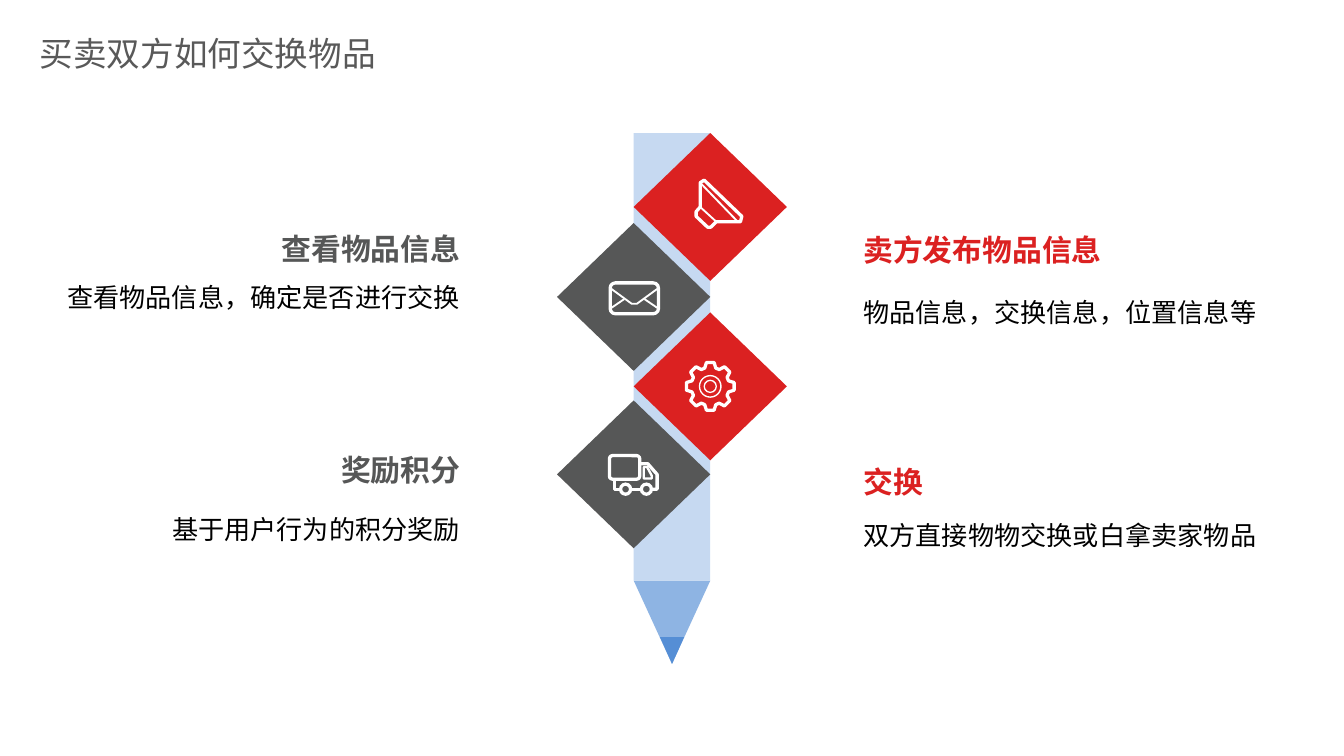
import math
import pptx
import pptx.util
import pptx.dml.color
import pptx.enum.shapes
import pptx.enum.text
import lxml.etree

deck = pptx.Presentation()
deck.slide_width = pptx.util.Inches(10)
deck.slide_height = deck.slide_width * 9 // 16
slide = deck.slides.add_slide(deck.slide_layouts[5])
unit = deck.slide_width / 100  # every length is a share of the slide's width
hue = pptx.dml.color.RGBColor.from_string
kinds = pptx.enum.shapes.MSO_SHAPE
anchors = pptx.enum.text.MSO_ANCHOR
aligns = pptx.enum.text.PP_ALIGN
face = "Noto Sans CJK SC"
red, grey, white = "DB2121", "565757", "FFFFFF"


def scale(spot):
    return [round(share * unit) for share in spot]


def write(box, words, size, color, bold, align, anchor, wrap, pad=0):
    frame = box.text_frame
    frame.auto_size = pptx.enum.text.MSO_AUTO_SIZE.NONE
    frame.word_wrap = wrap
    frame.vertical_anchor = anchor
    frame.margin_left = frame.margin_right = 0
    frame.margin_top = frame.margin_bottom = round(pad * unit)
    para = frame.paragraphs[0]
    para.alignment = align
    run = para.add_run()
    run.text = words
    run.font.size = pptx.util.Pt(size)
    run.font.bold = bold
    run.font.color.rgb = hue(color)
    run.font.name = face
    props = run._r.get_or_add_rPr()
    lxml.etree.SubElement(props, pptx.oxml.ns.qn("a:ea")).set("typeface", face)
    return para


# Title
title = slide.shapes.title
title.left, title.top, title.width, title.height = scale((2.95, 1.85, 29.1, 4.2))
write(title, "买卖双方如何交换物品", 18, "595959", False,
      aligns.LEFT, anchors.MIDDLE, True, 0.5)

# Pencil, diamonds and the round parts of the icons: kind, fill, place, turn, adjustment
left, col, tall = 47.15, 5.7, 11
parts = [
    (kinds.RECTANGLE, "C6D9F1", (left, 9.9, col, 33.3), 0, None),
    (kinds.ISOSCELES_TRIANGLE, "8EB4E3", (left, 43.2, col, 6.2), 180, None),
    (kinds.ISOSCELES_TRIANGLE, "558ED5", (49.1, 47.4, 1.8, 2), 180, None),
]
for step, top in enumerate((9.9, 16.6, 23.25, 29.8)):
    odd = step % 2
    parts.append((kinds.DIAMOND, grey if odd else red,
                  (left - odd * col, top, 2 * col, tall), 0, None))
parts += [
    (kinds.DONUT, white, (52, 27.9, 1.7, 1.7), 0, 0.06),
    (kinds.DONUT, white, (52.35, 28.25, 1, 1), 0, 0.1),
    (kinds.DONUT, white, (46.05, 35.9, 1, 1), 0, 0.25),
    (kinds.DONUT, white, (47.6, 35.9, 1, 1), 0, 0.25),
    (kinds.ROUNDED_RECTANGLE, None, (45.4, 21.05, 3.6, 2.3), 0, 0.17),
    (kinds.ROUNDED_RECTANGLE, None, (45.35, 33.9, 2.25, 1.75), 0, 0.13),
]
for kind, fill, spot, turn, adjust in parts:
    shape = slide.shapes.add_shape(kind, *scale(spot))
    shape.shadow.inherit = False
    shape.rotation = turn
    if adjust:
        shape.adjustments[0] = adjust
    if fill:
        shape.fill.solid()
        shape.fill.fore_color.rgb = hue(fill)
        shape.line.fill.background()
    else:
        shape.fill.background()
        shape.line.color.rgb = hue(white)
        shape.line.width = pptx.util.Pt(1.75)

# Gear rim: eight teeth, four corners each
rim = []
for tooth in range(8):
    for turn, reach in ((-17, 1.42), (-9, 1.8), (9, 1.8), (17, 1.42)):
        angle = math.radians(tooth * 45 + turn)
        rim.append((52.85 + reach * math.cos(angle), 28.75 + reach * math.sin(angle)))

# Icon strokes: width, closed, points
strokes = [
    (1.75, True, rim),
    # Speaker
    (1.75, True, [(52.1, 15.4), (52.1, 13.6), (52.4, 13.4), (55.2, 16.1), (55.1, 16.5),
                  (53.3, 16.5), (52.9, 16.9), (52.65, 16.9), (51.8, 16.1), (51.8, 15.75)]),
    (1, False, [(52.2, 13.7), (54.9, 16.5)]),
    (1, False, [(52.1, 15.4), (53.3, 16.5)]),
    # Envelope
    (1, False, [(45.5, 21.5), (47, 22.6), (47.4, 22.6), (48.9, 21.5)]),
    (1, False, [(45.5, 22.9), (46.45, 22.25)]),
    (1, False, [(48.9, 22.9), (47.95, 22.25)]),
    # Truck
    (1.75, False, [(47.6, 34.5), (48.2, 34.5), (48.9, 35.3), (48.9, 36.4), (48.5, 36.4)]),
    (1.75, False, [(45.7, 35.7), (45.7, 36.4), (46.1, 36.4)]),
    (1.75, False, [(47, 36.4), (47.7, 36.4)]),
    (1.25, True, [(47.9, 34.75), (48.15, 34.75), (48.5, 35.4), (48.5, 35.6), (47.9, 35.6)]),
]
for width, closed, points in strokes:
    dots = [scale(point) for point in points]
    pen = slide.shapes.build_freeform(*dots[0])
    pen.add_line_segments(dots[1:], close=closed)
    shape = pen.convert_to_shape()
    shape.shadow.inherit = False
    shape.fill.background()
    shape.line.color.rgb = hue(white)
    shape.line.width = pptx.util.Pt(width)

# Captions: heading with its top, note with its top
near = (21.65, 0.55, grey, aligns.RIGHT, anchors.BOTTOM, anchors.TOP)
far = (64.25, 64.25, red, aligns.LEFT, anchors.MIDDLE, anchors.MIDDLE)
notes = [
    (near, "查看物品信息", 17.3, "查看物品信息，确定是否进行交换", 20.5),
    (near, "奖励积分", 33.8, "基于用户行为的积分奖励", 37.7),
    (far, "卖方发布物品信息", 17.3, "物品信息，交换信息，位置信息等", 20.35),
    (far, "交换", 34.6, "双方直接物物交换或白拿卖家物品", 36.95),
]
for side, head, top, note, low in notes:
    start, edge, color, align, high, base = side
    box = slide.shapes.add_textbox(*scale((start, top, 12.6, 2.5)))
    write(box, head, 16, color, True, align, high, False)
    box = slide.shapes.add_textbox(*scale((edge, low, 33.7, 5.3)))
    para = write(box, note, 14, "000000", False, align, base, True)
    para.line_spacing = 1.2

deck.save("out.pptx")
